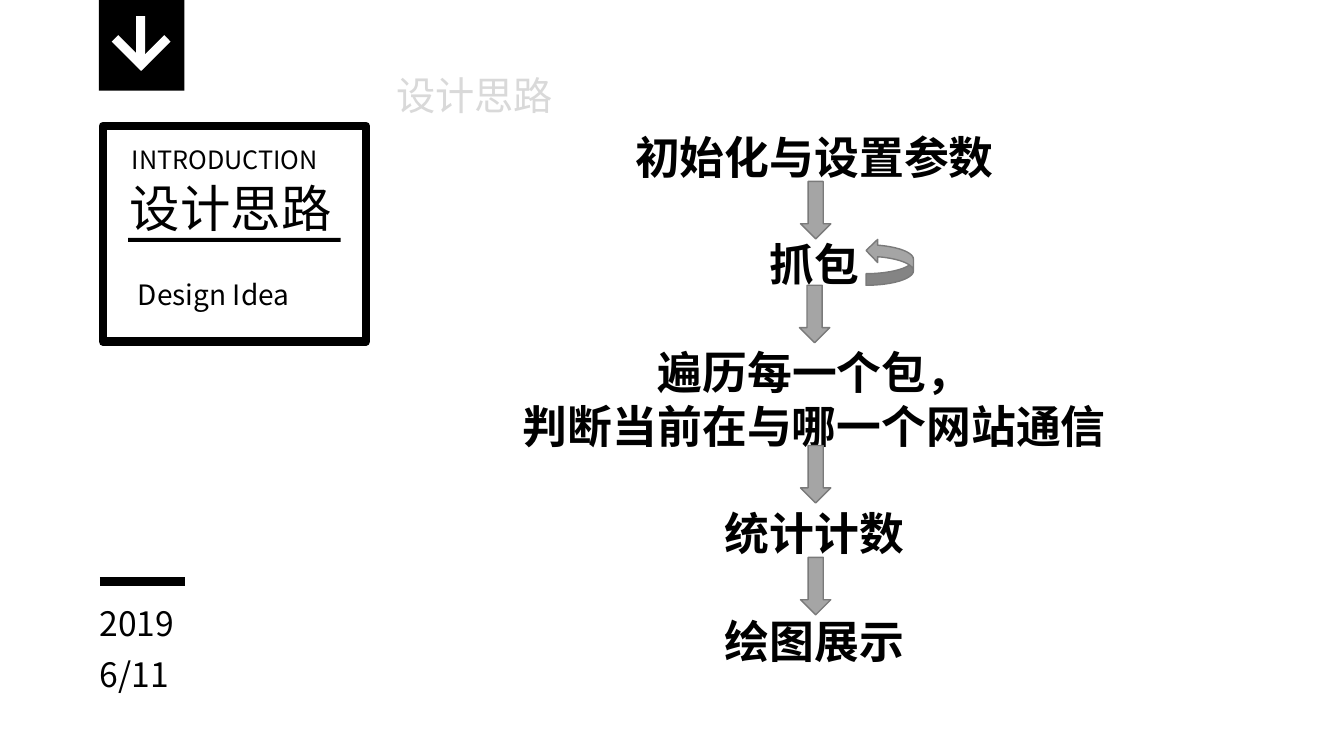
from dataclasses import dataclass
from typing import Optional

from lxml.etree import SubElement
from pptx import Presentation
from pptx.dml.color import RGBColor
from pptx.enum.shapes import MSO_CONNECTOR as Link, MSO_SHAPE as Kind
from pptx.enum.text import MSO_ANCHOR as Anchor, PP_ALIGN as Align
from pptx.oxml.ns import qn
from pptx.util import Inches, Pt

FONT = "Noto Sans CJK SC"
LEAD = 1.2  # line height as a multiple of the text size
DROP = 0.08  # baseline shift as a share of the text size
HUES = {
    "black": "000000",
    "white": "FFFFFF",
    "pale": "D9D9D9",
    "gray": "A5A5A5",
    "edge": "7A7A7A",
}


@dataclass
class Box:
    left: float
    top: float
    width: float
    height: float
    kind: Kind = Kind.RECTANGLE
    fill: Optional[str] = "black"
    line: Optional[str] = None
    weight: float = 1
    turn: float = 0


@dataclass
class Label:
    left: float
    top: float
    width: float
    height: float
    lines: list[str]
    size: float
    hue: str = "black"
    align: Align = Align.LEFT
    bold: bool = False
    wrap: bool = True
    gaps: tuple[int, ...] = ()  # lines with one line of space above


def color(name: str) -> RGBColor:
    return RGBColor.from_string(HUES[name])


def draw_box(shapes, box: Box) -> None:
    shape = shapes.add_shape(box.kind, Inches(box.left), Inches(box.top),
                             Inches(box.width), Inches(box.height))
    shape.shadow.inherit = False
    shape.rotation = box.turn
    if box.fill:
        shape.fill.solid()
        shape.fill.fore_color.rgb = color(box.fill)
    else:
        shape.fill.background()
    if box.line:
        shape.line.color.rgb = color(box.line)
        shape.line.width = Pt(box.weight)
    else:
        shape.line.fill.background()


def draw_label(shapes, label: Label) -> None:
    shape = shapes.add_textbox(Inches(label.left), Inches(label.top),
                               Inches(label.width), Inches(label.height))
    frame = shape.text_frame
    frame.word_wrap = label.wrap
    frame.vertical_anchor = Anchor.TOP
    frame.margin_top = Inches(0.05) + Pt(label.size * DROP)
    frame.text = "\n".join(label.lines)
    pitch = Pt(label.size * LEAD)
    for index, para in enumerate(frame.paragraphs):
        para.alignment = label.align
        para.line_spacing = pitch
        if index in label.gaps:
            para.space_before = pitch
        for run in para.runs:
            font = run.font
            font.name = FONT
            font.size = Pt(label.size)
            font.bold = label.bold
            font.color.rgb = color(label.hue)
            SubElement(run._r.get_or_add_rPr(), qn("a:ea"), typeface=FONT)


def draw_rule(shapes, left: float, right: float, top: float) -> None:
    rule = shapes.add_connector(Link.STRAIGHT, Inches(left), Inches(top),
                                Inches(right), Inches(top))
    rule.line.color.rgb = color("black")
    rule.line.width = Pt(6)
    SubElement(rule._element.spPr, qn("a:effectLst"))


def draw_all(shapes, parts: list) -> None:
    for part in parts:
        if isinstance(part, Box):
            draw_box(shapes, part)
        else:
            draw_label(shapes, part)


# Title card
CARD = [
    Label(1.21, 1.36, 2.22, 0.4, ["INTRODUCTION"], 18, align=Align.JUSTIFY),
    Box(1.02, 1.25, 2.61, 2.14, fill=None, line="black", weight=6),
    Box(1.27, 2.36, 2.11, 0.04),
    Label(1.27, 2.68, 2.11, 0.44, ["Design Idea"], 20, align=Align.JUSTIFY),
    Label(1.19, 1.67, 2.27, 0.71, ["设计思路"], 36, align=Align.JUSTIFY),
]

# White arrow on the black tab
ICON = [
    Box(1.47, 0.32, 0.09, 0.41, fill="white", turn=225),
    Box(1.24, 0.32, 0.09, 0.41, fill="white", turn=135),
    Box(1.35, 0.16, 0.09, 0.49, fill="white"),
]

# Steps and heading
STEPS = ["初始化与设置参数", "抓包", "遍历每一个包，",
         "判断当前在与哪一个网站通信", "统计计数", "绘图展示"]
BODY = [
    Label(3.88, 1.2, 8.4, 5.49, STEPS, 32, align=Align.CENTER, bold=True,
          gaps=(1, 2, 4, 5)),
    Label(3.83, 0.63, 2.77, 0.57, ["设计思路"], 28, hue="pale"),
]

# Date
DATE = [Label(0.89, 5.9 + 0.51 * row, 0.99, 0.5, [text], 24, wrap=False)
        for row, text in enumerate(["2019", "6/11"])]

# Arrows between the steps, with a loop beside the second
FLOW = [Box(8.59, 2.37, 0.47, 0.46, Kind.CURVED_RIGHT_ARROW, "gray", "edge",
            turn=180)]
FLOW += [Box(left, top, 0.3, 0.57, Kind.DOWN_ARROW, "gray", "edge")
         for left, top in [(7.94, 1.8), (7.93, 2.83), (7.94, 4.42), (7.94, 5.53)]]


def main() -> None:
    deck = Presentation()
    deck.slide_width, deck.slide_height = Inches(13.33), Inches(7.5)
    shapes = deck.slides.add_slide(deck.slide_layouts[6]).shapes
    draw_all(shapes.add_group_shape().shapes, CARD)
    draw_box(shapes, Box(0.98, 0, 0.85, 0.9))
    draw_all(shapes.add_group_shape().shapes, ICON)
    draw_all(shapes, BODY)
    draw_rule(shapes, 0.99, 1.83, 5.77)
    draw_all(shapes, DATE + FLOW)
    deck.save("out.pptx")


if __name__ == "__main__":
    main()
